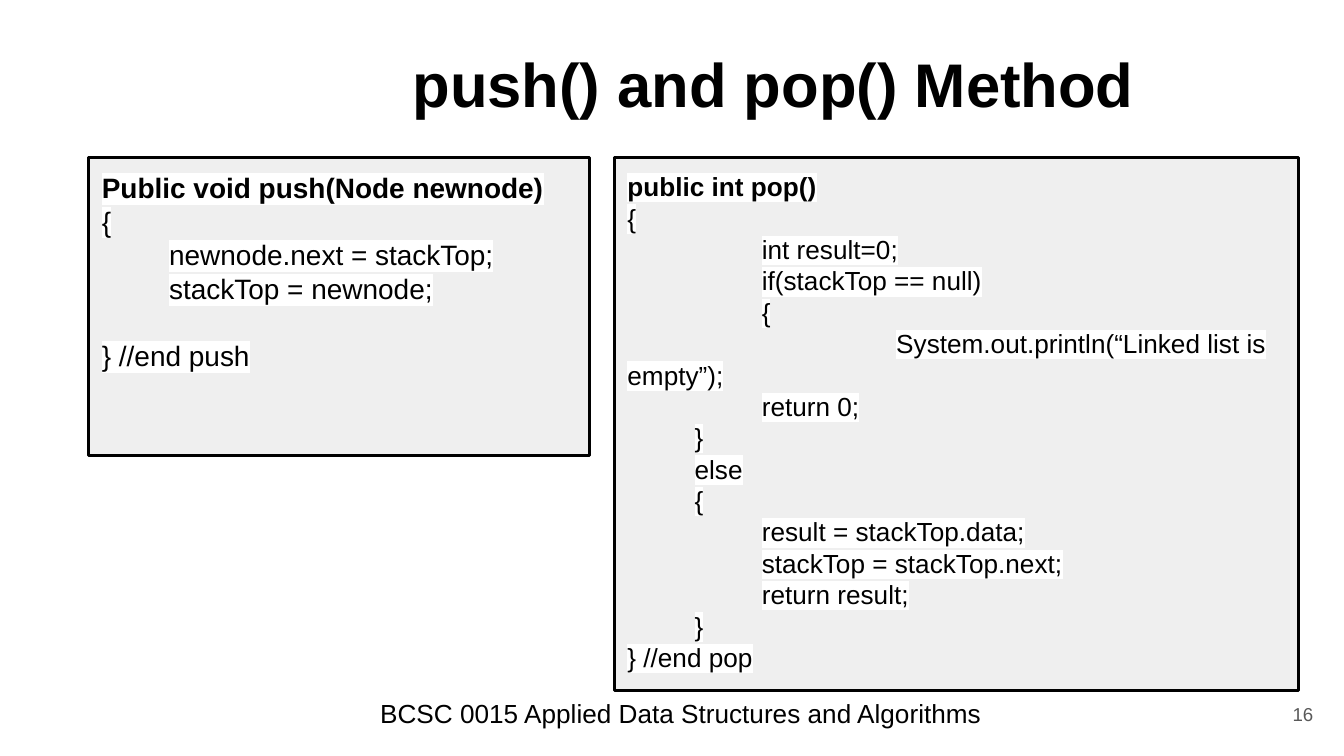
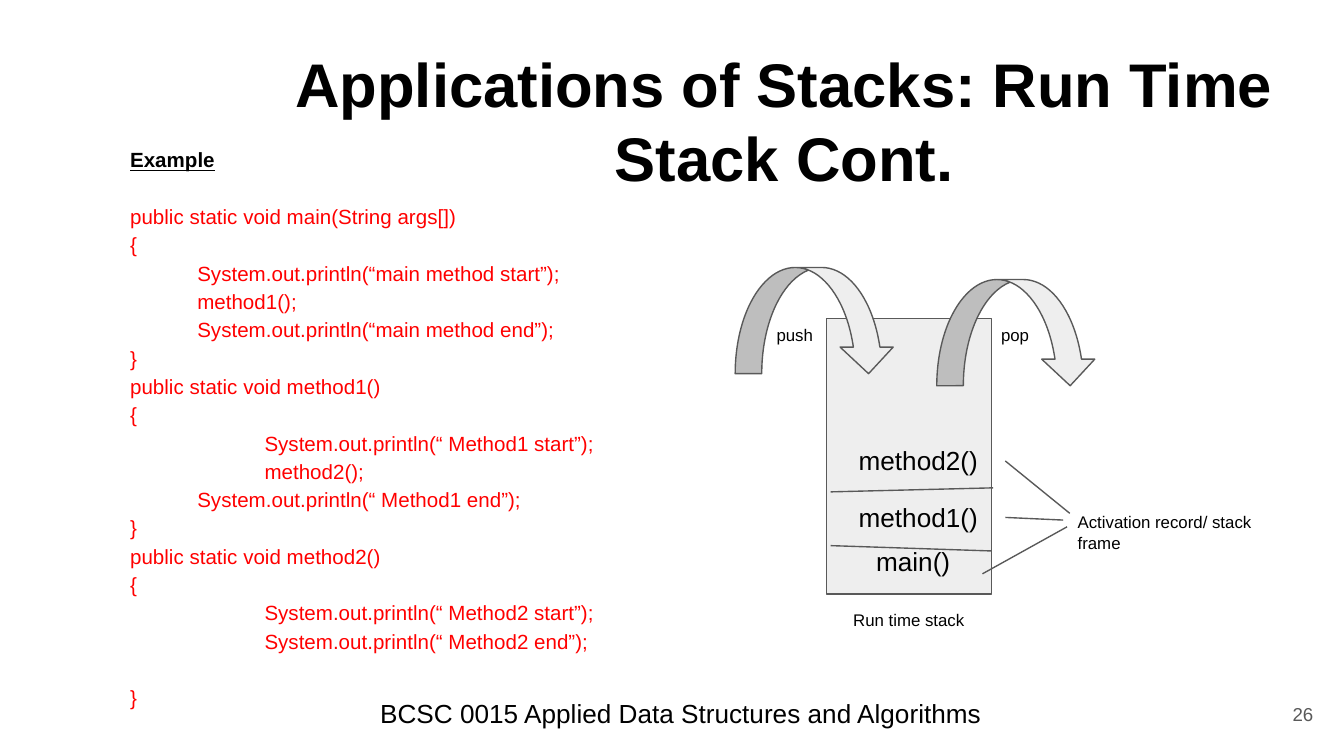
from dataclasses import dataclass
from typing import Any, Sequence

from lxml import etree
from pptx import Presentation
from pptx import util as u
from pptx.dml.color import RGBColor
from pptx.enum import shapes, text
from pptx.oxml.ns import qn

BLACK = RGBColor(0x00, 0x00, 0x00)
WHITE = RGBColor(0xFF, 0xFF, 0xFF)
RED = RGBColor(0xFF, 0x00, 0x00)
GREY = RGBColor(0x59, 0x59, 0x59)
CODE_FILL = RGBColor(0xEF, 0xEF, 0xEF)
STACK_FILL = RGBColor(0xEE, 0xEE, 0xEE)

SLIDE_WIDTH = u.Inches(10)
SLIDE_HEIGHT = u.Emu(SLIDE_WIDTH * 9 // 16)
FONT = "Arial"
FOOTER = "BCSC 0015 Applied Data Structures and Algorithms"
INSET = u.Inches(0.1)
TAB = 0.5
LEFT = text.PP_ALIGN.LEFT
CENTER = text.PP_ALIGN.CENTER
RIGHT = text.PP_ALIGN.RIGHT
TOP = text.MSO_ANCHOR.TOP
MIDDLE = text.MSO_ANCHOR.MIDDLE
RECTANGLE = shapes.MSO_SHAPE.RECTANGLE
ARROW = shapes.MSO_SHAPE.CURVED_DOWN_ARROW


@dataclass(frozen=True)
class Area:
    left: float
    top: float
    width: float
    height: float

    def lengths(self) -> tuple:
        return tuple(map(u.Inches, (self.left, self.top, self.width, self.height)))


@dataclass(frozen=True)
class Line:
    """One paragraph; tabs indents its first line, gap is points of space before."""
    text: str
    tabs: int = 0
    gap: float = 0
    bold: bool = False
    underline: bool = False
    color: RGBColor = BLACK


@dataclass(frozen=True)
class Label:
    text: str
    area: Area
    size: int


PUSH_CODE = (
    Line("Public void push(Node newnode)", bold=True),
    Line("{"),
    Line("newnode.next = stackTop;", 1),
    Line("stackTop = newnode;", 1),
    Line("} //end push", gap=18),
)

POP_CODE = (
    Line("public int pop()", bold=True),
    Line("{"),
    Line("int result=0;", 2),
    Line("if(stackTop == null)", 2),
    Line("{", 2),
    Line("System.out.println(“Linked list is empty”);", 4),
    Line("return 0;", 2),
    Line("}", 1),
    Line("else", 1),
    Line("{", 1),
    Line("result = stackTop.data;", 2),
    Line("stackTop = stackTop.next;", 2),
    Line("return result;", 2),
    Line("}", 1),
    Line("} //end pop"),
)

EXAMPLE_CODE = (
    Line("Example", bold=True, underline=True),
    Line("public static void main(String args[])", gap=15.2, color=RED),
    Line("{", color=RED),
    Line("System.out.println(“main method start”);", 1, color=RED),
    Line("method1();", 1, color=RED),
    Line("System.out.println(“main method end”);", 1, color=RED),
    Line("}", color=RED),
    Line("public static void method1()", color=RED),
    Line("{", color=RED),
    Line("System.out.println(“ Method1 start”);", 2, color=RED),
    Line("method2();", 2, color=RED),
    Line("System.out.println(“ Method1 end”);", 1, color=RED),
    Line("}", color=RED),
    Line("public static void method2()", color=RED),
    Line("{", color=RED),
    Line("System.out.println(“ Method2 start”);", 2, color=RED),
    Line("System.out.println(“ Method2 end”);", 2, color=RED),
    Line("}", gap=15.2, color=RED),
)

STACK_LABELS = (
    Label("main()", Area(6.42, 3.96, 0.79, 0.44), 14),
    Label("method1()", Area(6.29, 3.63, 1.19, 0.44), 14),
    Label("method2()", Area(6.29, 3.21, 1.19, 0.44), 14),
    Label("Run time stack", Area(6.25, 4.46, 1.77, 0.35), 9),
    Label("Activation record/ stack frame", Area(7.92, 3.71, 1.77, 0.5), 9),
)
ARROW_LABELS = (
    Label("push", Area(5.68, 2.34, 0.53, 0.35), 9),
    Label("pop", Area(7.35, 2.34, 0.53, 0.35), 9),
)
ARROWS = (Area(5.47, 1.99, 1.19, 0.79), Area(6.97, 2.08, 1.19, 0.79))

# Start and end of each frame divider and callout line
STACK_LINES = (
    (6.18, 4.06, 7.38, 4.1),
    (6.18, 3.66, 7.39, 3.63),
    (7.48, 3.43, 7.96, 3.82),
    (7.48, 3.85, 7.91, 3.87),
    (7.31, 4.27, 7.94, 3.92),
)


def apply_format(target: Any, values: dict[str, Any]) -> None:
    for name, value in values.items():
        setattr(target, name, value)


def highlight(span: Any, color: RGBColor) -> None:
    """Add a text highlight right after the fill, where the schema expects it."""
    mark = etree.Element(qn("a:highlight"))
    etree.SubElement(mark, qn("a:srgbClr"), val=str(color))
    span.font.fill._xPr.find(qn("a:solidFill")).addnext(mark)


def write_lines(box: Any, lines: Sequence[Line], size: int, align: Any = LEFT,
                anchor: Any = TOP, spacing: float = 1.0,
                marker: RGBColor | None = None) -> None:
    frame = box.text_frame
    apply_format(frame, {
        "word_wrap": True, "vertical_anchor": anchor,
        "margin_left": INSET, "margin_right": INSET,
        "margin_top": INSET, "margin_bottom": INSET,
    })
    for index, line in enumerate(lines):
        para = frame.add_paragraph() if index else frame.paragraphs[0]
        apply_format(para, {"alignment": align, "line_spacing": spacing,
                            "space_before": u.Pt(line.gap)})
        if line.tabs:
            properties = para._p.get_or_add_pPr()
            properties.set("marL", "0")
            properties.set("indent", str(u.Inches(TAB * line.tabs)))
        span = para.add_run()
        span.text = line.text
        apply_format(span.font, {"name": FONT, "size": u.Pt(size),
                                 "bold": line.bold, "underline": line.underline})
        span.font.color.rgb = line.color
        if marker is not None:
            highlight(span, marker)


def add_text(page: Any, area: Area, lines: Sequence[Line], size: int,
             **layout: Any) -> None:
    write_lines(page.shapes.add_textbox(*area.lengths()), lines, size, **layout)


def add_label(page: Any, label: Label) -> None:
    add_text(page, label.area, [Line(label.text)], label.size)


def add_outlined(page: Any, kind: Any, area: Area, fill: RGBColor,
                 line: RGBColor, weight: float) -> Any:
    shape = page.shapes.add_shape(kind, *area.lengths())
    shape.shadow.inherit = False
    shape.fill.solid()
    shape.fill.fore_color.rgb = fill
    shape.line.color.rgb = line
    shape.line.width = u.Pt(weight)
    return shape


def add_code_box(page: Any, area: Area, lines: Sequence[Line], size: int) -> None:
    box = add_outlined(page, RECTANGLE, area, CODE_FILL, BLACK, 1.5)
    write_lines(box, lines, size, marker=WHITE)


def add_line(page: Any, ends: tuple[float, float, float, float]) -> None:
    line = page.shapes.add_connector(shapes.MSO_CONNECTOR.STRAIGHT,
                                     *map(u.Inches, ends))
    line.line.color.rgb = GREY
    line.line.width = u.Pt(0.75)
    etree.SubElement(line._element.spPr, qn("a:effectLst"))


def add_page(deck: Any, title: str, title_area: Area, number: int) -> Any:
    """Add a blank page with the shared footer, title and page number."""
    page = deck.slides.add_slide(deck.slide_layouts[6])
    page.background.fill.solid()
    page.background.fill.fore_color.rgb = WHITE
    add_text(page, Area(2.73, 5.09, 4.93, 0.46), [Line(FOOTER)], 14)
    add_text(page, title_area, [Line(title, bold=True)], 33, align=CENTER)
    add_text(page, Area(9.27, 5.1, 0.6, 0.43), [Line(str(number), color=GREY)], 10,
             align=RIGHT, anchor=MIDDLE)
    return page


def build_methods_page(deck: Any) -> None:
    page = add_page(deck, "push() and pop() Method", Area(1.85, 0.24, 7.81, 0.63), 16)
    add_code_box(page, Area(0.66, 1.17, 3.73, 2.22), PUSH_CODE, 15)
    add_code_box(page, Area(4.57, 1.17, 5.09, 3.97), POP_CODE, 14)


def build_stack_page(deck: Any) -> None:
    page = add_page(deck, "Applications of Stacks: Run Time Stack Cont.",
                    Area(2.01, 0.24, 7.65, 0.63), 26)
    add_text(page, Area(0.87, 0.97, 8.26, 4.43), EXAMPLE_CODE, 11, spacing=1.15)
    add_outlined(page, RECTANGLE, Area(6.15, 2.37, 1.23, 2.05), STACK_FILL, GREY, 0.75)
    for label in STACK_LABELS:
        add_label(page, label)
    for ends in STACK_LINES:
        add_line(page, ends)
    for area in ARROWS:
        add_outlined(page, ARROW, area, STACK_FILL, GREY, 0.75)
    for label in ARROW_LABELS:
        add_label(page, label)


def main() -> None:
    deck = Presentation()
    deck.slide_width = SLIDE_WIDTH
    deck.slide_height = SLIDE_HEIGHT
    build_methods_page(deck)
    build_stack_page(deck)
    deck.save("out.pptx")


if __name__ == "__main__":
    main()
